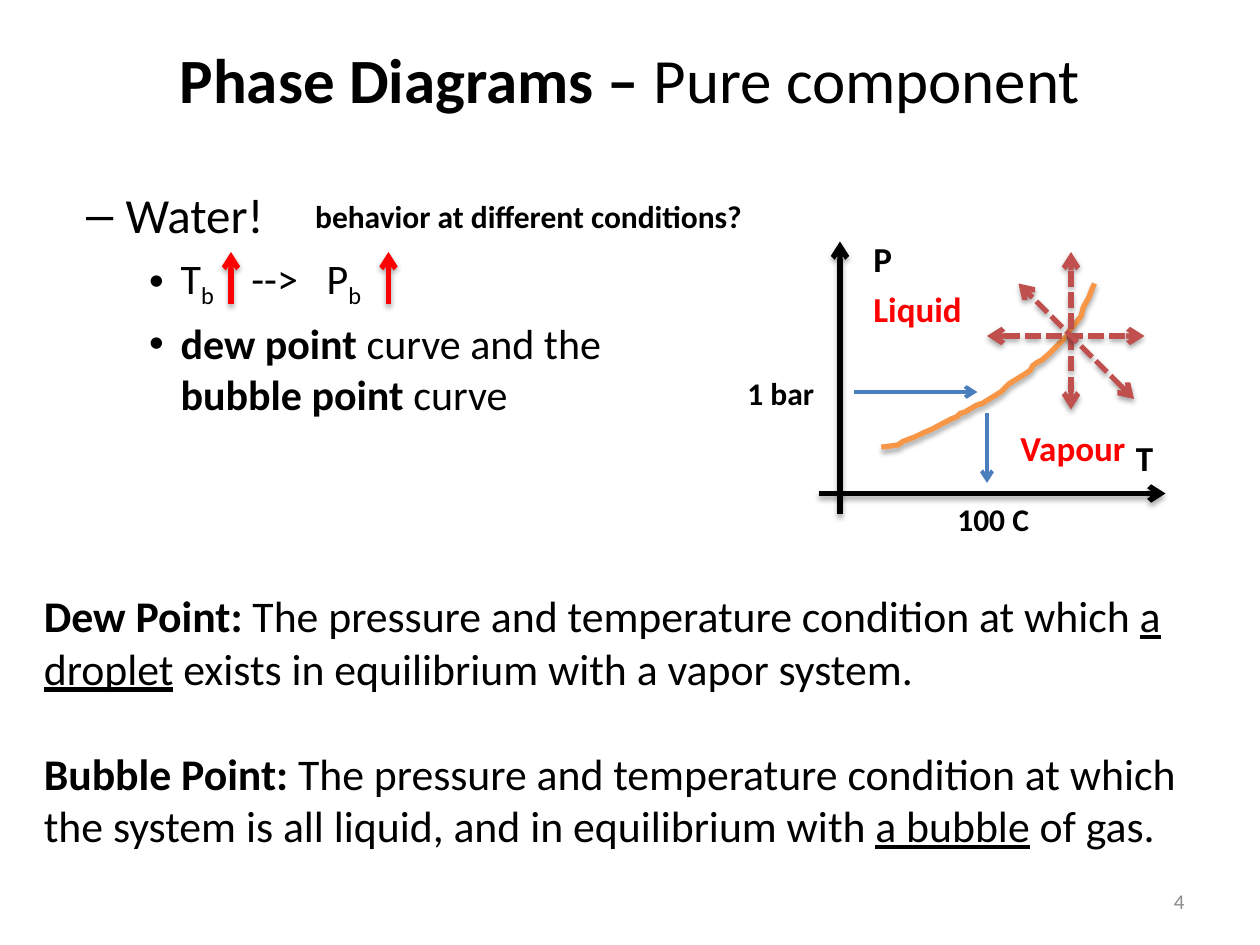
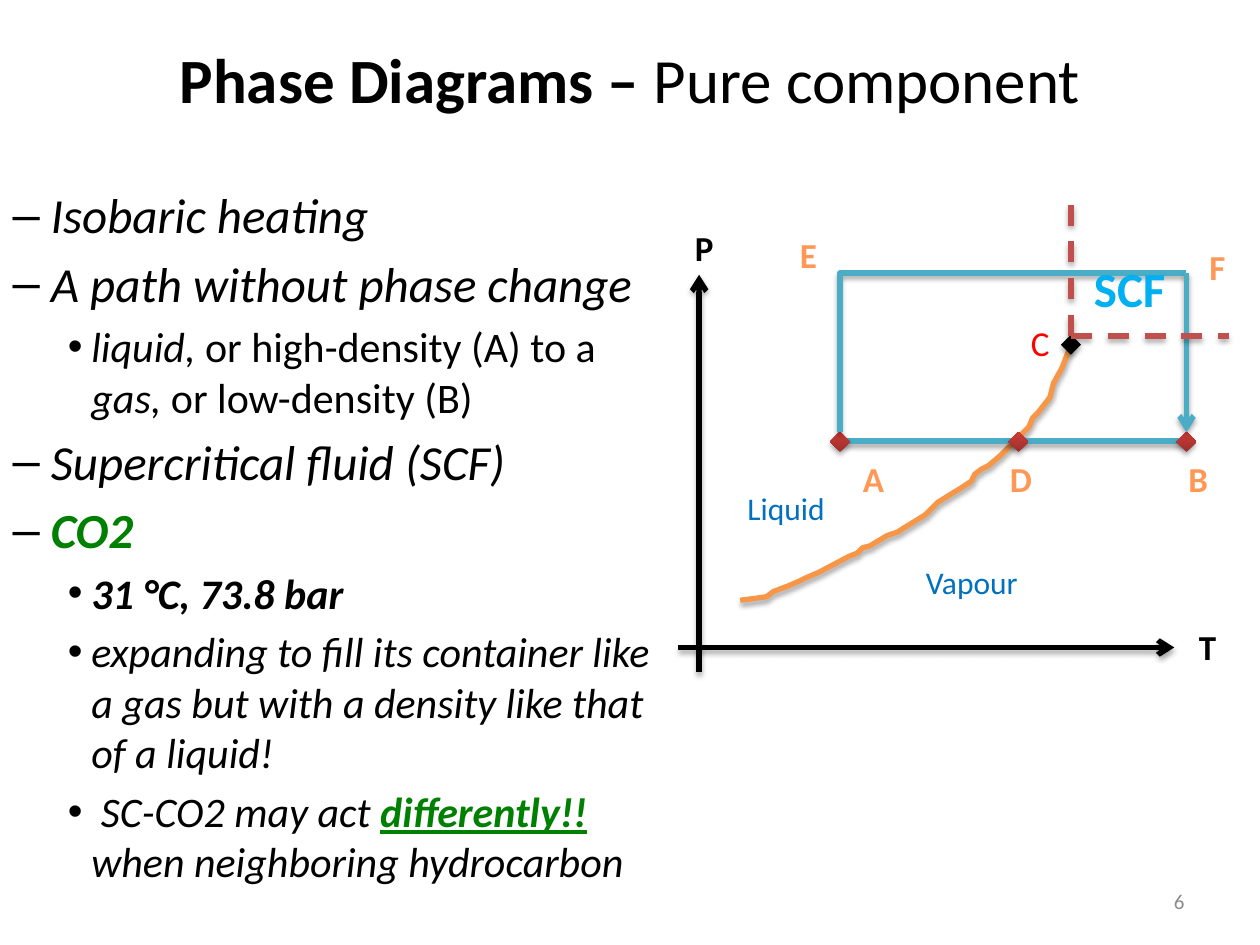
from dataclasses import dataclass
from lxml.etree import SubElement
from pptx import Presentation
from pptx.dml.color import RGBColor
from pptx.enum.dml import MSO_LINE
from pptx.enum.shapes import MSO_CONNECTOR, MSO_SHAPE
from pptx.enum.text import MSO_ANCHOR, PP_ALIGN
from pptx.oxml.ns import qn
from pptx.util import Pt

BLACK, RED, GREEN, GRAY = "000000", "FF0000", "008000", "8C8C8C"
ORANGE, BRICK, TEAL, BLUE = "F79646", "C0504D", "4BACC6", "4B7EBC"
POINT_LABEL, REGION_LABEL, SUPERCRITICAL = "FF9856", "0070C0", "00B0F0"

BOILING_CURVE = [
    (0, 0), (-2, 4), (-5, 12), (-10, 21), (-12, 29), (-19, 38), (-22, 41),
    (-24, 46), (-40, 62), (-47, 68), (-51, 70), (-55, 73), (-57, 77),
    (-63, 81), (-68, 84), (-76, 89), (-83, 96), (-91, 101), (-96, 104),
    (-99, 106), (-105, 108), (-115, 114), (-119, 115), (-122, 118),
    (-127, 120), (-144, 129), (-151, 132), (-155, 134), (-162, 137),
    (-170, 140), (-174, 143), (-181, 144), (-189, 145),
]


def color_of(value):
    return RGBColor.from_string(value)


@dataclass
class Span:
    text: str
    bold: bool = False
    italic: bool = False
    underline: bool = False
    subscript: bool = False
    color: str = BLACK
    spacing: int = 0


class PhaseDeck:
    font_name = "Calibri"
    line_width = 3

    def __init__(self):
        self.deck = Presentation()
        self.deck.slide_width, self.deck.slide_height = Pt(720), Pt(540)
        self.page = None

    def new_page(self, number):
        self.page = self.deck.slides.add_slide(self.deck.slide_layouts[1])
        title = self.page.shapes.title
        self.place(title, 36, 0, 648, 90)
        title.text_frame.vertical_anchor = MSO_ANCHOR.MIDDLE
        paragraph = title.text_frame.paragraphs[0]
        paragraph.alignment = PP_ALIGN.CENTER
        self.add_spans(paragraph, [Span("Phase Diagrams – ", bold=True), Span("Pure component")], 36)
        box = self.label(str(number), 516, 500.4, 168, 28.8, 12, GRAY, bold=False)
        box.text_frame.vertical_anchor = MSO_ANCHOR.MIDDLE
        box.text_frame.paragraphs[0].alignment = PP_ALIGN.RIGHT

    def place(self, shape, left, top, width, height):
        shape.left, shape.top = Pt(left), Pt(top)
        shape.width, shape.height = Pt(width), Pt(height)

    def style_run(self, run, size, span):
        font = run.font
        font.name, font.size = self.font_name, Pt(size)
        font.bold, font.italic, font.underline = span.bold, span.italic, span.underline
        font.color.rgb = color_of(span.color)
        properties = run._r.get_or_add_rPr()
        if span.subscript:
            properties.set("baseline", "-25000")
        if span.spacing:
            properties.set("spc", str(span.spacing * 100))

    def add_spans(self, paragraph, spans, size):
        for span in spans:
            run = paragraph.add_run()
            run.text = span.text
            self.style_run(run, size, span)

    def bullets(self, items, left, top, width, height, indents=None):
        body = self.page.placeholders[1]
        self.place(body, left, top, width, height)
        frame = body.text_frame
        for index, (level, spans) in enumerate(items):
            paragraph = frame.add_paragraph() if index else frame.paragraphs[0]
            paragraph.level = level
            if index == 0:
                paragraph.space_before = Pt(0)
            if indents:
                margin, hanging = indents[level]
                properties = paragraph._p.get_or_add_pPr()
                properties.set("marL", str(Pt(margin)))
                properties.set("indent", str(-Pt(hanging)))
            self.add_spans(paragraph, spans, {1: 28, 2: 24}[level])

    def label(self, text, left, top, width=24, height=31.5, size=20,
              color=BLACK, bold=True, wrap=True):
        box = self.page.shapes.add_textbox(Pt(left), Pt(top), Pt(width), Pt(height))
        box.text_frame.word_wrap = wrap
        box.text_frame.text = text
        self.style_run(box.text_frame.paragraphs[0].runs[0], size,
                       Span(text, bold=bold, color=color))
        return box

    def definitions(self, entries, left, top, width, height):
        box = self.page.shapes.add_textbox(Pt(left), Pt(top), Pt(width), Pt(height))
        frame = box.text_frame
        frame.word_wrap = True
        for index, spans in enumerate(entries):
            paragraph = frame.add_paragraph() if index else frame.paragraphs[0]
            if index:
                paragraph.space_before = Pt(30)
            self.add_spans(paragraph, spans, 25)

    def effects(self, shape, shadow=True):
        effects = SubElement(shape._element.spPr, qn("a:effectLst"))
        if shadow:
            outer = SubElement(effects, qn("a:outerShdw"), blurRad=str(Pt(3.1)),
                               dist=str(Pt(1.8)), dir="5400000", rotWithShape="0")
            tint = SubElement(outer, qn("a:srgbClr"), val=BLACK)
            SubElement(tint, qn("a:alpha"), val="35000")

    def line(self, start, end, color=BLACK, width=line_width, dash=None,
             heads=(), shadow=True):
        connector = self.page.shapes.add_connector(
            MSO_CONNECTOR.STRAIGHT, *(Pt(value) for value in (*start, *end)))
        connector.line.color.rgb = color_of(color)
        connector.line.width = Pt(width)
        if dash:
            connector.line.dash_style = dash
        for head in heads:
            SubElement(connector.line._get_or_add_ln(), qn(f"a:{head}"), type="arrow")
        self.effects(connector, shadow)

    def arrow(self, start, end, color=BLACK, **options):
        self.line(start, end, color, heads=("tailEnd",), **options)

    def outline(self, points, color, origin=(0, 0), scale=1):
        builder = self.page.shapes.build_freeform(*points[0], scale=Pt(1) * scale)
        builder.add_line_segments(points[1:], close=False)
        shape = builder.convert_to_shape(*(Pt(value) for value in origin))
        shape.fill.background()
        shape.line.color.rgb = color_of(color)
        shape.line.width = Pt(self.line_width)
        self.effects(shape)

    def diamond(self, center_x, center_y, gradient=None):
        side = 11.5
        shape = self.page.shapes.add_shape(
            MSO_SHAPE.DIAMOND, Pt(center_x - side / 2), Pt(center_y - side / 2),
            Pt(side), Pt(side))
        if gradient:
            shape.fill.gradient()
            shape.fill.gradient_angle = 90
            for stop, color in zip(shape.fill.gradient_stops, gradient):
                stop.color.rgb = color_of(color)
        else:
            shape.fill.solid()
            shape.fill.fore_color.rgb = color_of(BLACK)
        shape.line.fill.background()
        self.effects(shape)

    def phase_axes(self, pressure, temperature, curve_top, curve_scale,
                   pressure_label, temperature_label):
        self.arrow(*pressure)
        self.arrow(*temperature)
        self.outline(BOILING_CURVE, ORANGE, curve_top, curve_scale)
        self.label("P", *pressure_label)
        self.label("T", *temperature_label)


def water_page(deck):
    deck.new_page(4)
    deck.bullets([
        (1, [Span("Water!")]),
        (2, [Span("T"), Span("b", subscript=True), Span(" ", spacing=16), Span("-->"),
             Span(" ", spacing=11), Span("P"), Span("b", subscript=True)]),
        (2, [Span("dew point ", bold=True), Span("curve and the "),
             Span("bubble point ", bold=True), Span("curve")]),
    ], 6, 102, 390, 264)
    deck.phase_axes(((480, 294), (480, 138)), ((468, 282), (666, 282)),
                    (625.5, 162), 0.645, (492, 132), (642, 246))
    deck.arrow((488, 224), (558.5, 224), BLUE, width=2.25, shadow=False)
    deck.arrow((564, 236), (564, 276), BLUE, width=2.25, shadow=False)
    deck.label("Liquid", 492, 160.5, 66, color=RED)
    deck.label("Vapour", 576, 240, 84, color=RED)
    deck.definitions([
        [Span("Dew Point: ", bold=True),
         Span("The pressure and temperature condition at which "),
         Span("a droplet", underline=True),
         Span(" exists in equilibrium with a vapor system.")],
        [Span("Bubble Point: ", bold=True),
         Span("The pressure and temperature condition at which the system is all liquid, "
              "and in equilibrium with "),
         Span("a bubble", underline=True), Span(" of gas.")],
    ], 18, 333, 672, 158)
    for text, left, top, width in (("behavior at different conditions?", 173, 109, 265),
                                   ("100 C", 540, 282, 56), ("1 bar", 420, 210, 53)):
        deck.label(text, left, top, width, 29, 18, wrap=False)
    for start, end in (((564, 192), (654, 192)), ((612, 234), (612, 144)),
                       ((648, 228), (582, 162))):
        deck.line(start, end, BRICK, dash=MSO_LINE.SQUARE_DOT, heads=("headEnd", "tailEnd"))
    for rise in (132, 222):
        deck.arrow((rise, 174), (rise, 144), RED)


def supercritical_page(deck):
    deck.new_page(6)
    deck.bullets([
        (1, [Span(" Isobaric heating", italic=True)]),
        (1, [Span(" A path without phase change", italic=True)]),
        (2, [Span("liquid, ", italic=True), Span("or high-density (A) to a "),
             Span("gas, ", italic=True), Span("or low-density (B)")]),
        (1, [Span(" Supercritical fluid (SCF)", italic=True)]),
        (1, [Span(" ", italic=True), Span("CO2", bold=True, italic=True, color=GREEN)]),
        (2, [Span("31 °C, 73.8 bar", bold=True, italic=True)]),
        (2, [Span("expanding to fill its container like a gas but with a density "
                  "like that of a liquid!", italic=True)]),
        (2, [Span(" SC-CO2 may act ", italic=True),
             Span("differently!!", bold=True, italic=True, underline=True, color=GREEN),
             Span(" when neighboring hydrocarbon", italic=True)]),
    ], 0, 102, 384, 354, indents={1: (13.5, 13.5), 2: (45, 13.5)})
    deck.phase_axes(((399.5, 384), (399.5, 157)), ((387.5, 370), (671, 370)),
                    (612, 198), 1, (390, 126), (678, 354))
    deck.label("Liquid", 420, 276, 66, 29, 18, REGION_LABEL, bold=False)
    deck.label("Vapour", 522, 318, 84, 29, 18, REGION_LABEL, bold=False)
    deck.diamond(612, 197)
    deck.line((480, 252), (678, 252), TEAL)
    for center in (582, 678, 480):
        deck.diamond(center, 252.5, ("9C2F2D", "CE3B37"))
    deck.outline([(480, 247), (480, 156), (678, 156)], TEAL)
    deck.arrow((678, 156), (678, 247), TEAL)
    for text, left, top in (("A", 486, 258), ("D", 570, 258), ("B", 672, 258),
                            ("E", 450, 130), ("F", 684, 137)):
        deck.label(text, left, top, color=POINT_LABEL)
    deck.label("C", 582, 180, color=RED, bold=False)
    for end in ((612, 108), (702, 192)):
        deck.line((612, 192), end, BRICK, dash=MSO_LINE.DASH)
    deck.label("SCF", 618, 144, 56, 41, 28, SUPERCRITICAL, wrap=False)


def main():
    deck = PhaseDeck()
    water_page(deck)
    supercritical_page(deck)
    deck.deck.save("out.pptx")


if __name__ == "__main__":
    main()
